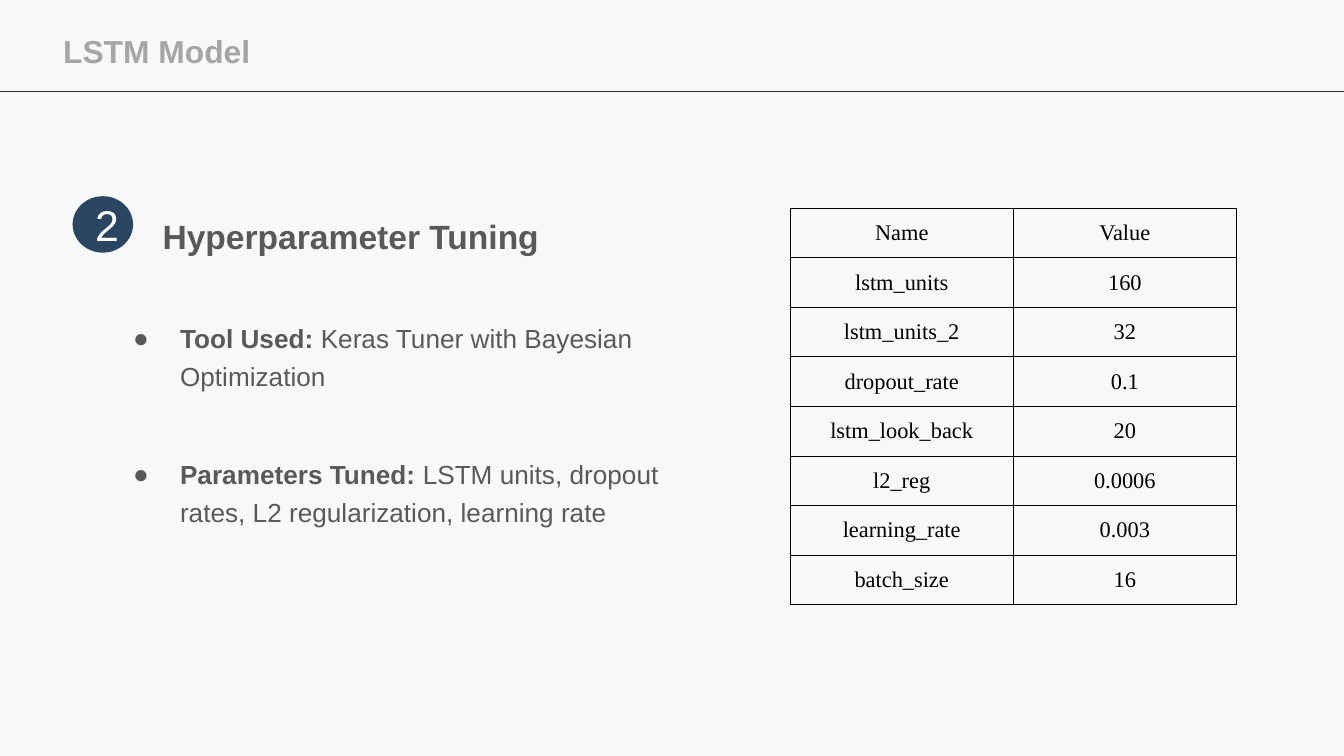
from dataclasses import dataclass

from lxml.etree import SubElement
from pptx import Presentation
from pptx.dml.color import RGBColor
from pptx.enum.shapes import MSO_CONNECTOR, MSO_SHAPE
from pptx.enum.text import MSO_ANCHOR, PP_ALIGN
from pptx.oxml import parse_xml
from pptx.oxml.ns import nsdecls, qn
from pptx.util import Inches, Pt

COLORS = {
    "background": "F6F8F9",
    "rule": "2E2E2E",
    "title": "A5A5A5",
    "body": "595959",
    "badge": "2B4663",
    "white": "FFFFFF",
    "black": "000000",
}


@dataclass
class Span:
    text: str
    size: float
    color: str
    bold: bool = False
    font: str = "Arial"


@dataclass
class TextBox:
    left: float
    top: float
    width: float
    height: float
    spans: list[Span]
    anchor: MSO_ANCHOR = MSO_ANCHOR.TOP
    line_spacing: float = 1.0
    bullet: bool = False
    inset_x: float = 0
    inset_y: float = 0


def color(name: str) -> RGBColor:
    return RGBColor.from_string(COLORS[name])


def add_span(para, span: Span) -> None:
    run = para.add_run()
    run.text = span.text
    run.font.name = span.font
    run.font.size = Pt(span.size)
    run.font.bold = span.bold
    run.font.color.rgb = color(span.color)


def add_bullet(para) -> None:
    properties = para._p.get_or_add_pPr()
    properties.set("marL", str(Inches(0.5)))
    properties.set("indent", str(Inches(-0.35)))
    bullet_color = SubElement(properties, qn("a:buClr"))
    SubElement(bullet_color, qn("a:srgbClr"), val=COLORS["body"])
    SubElement(properties, qn("a:buFont"), typeface="Arial")
    SubElement(properties, qn("a:buChar"), char="●")


def add_text(page, item: TextBox) -> None:
    box = page.shapes.add_textbox(
        Inches(item.left), Inches(item.top), Inches(item.width), Inches(item.height)
    )
    frame = box.text_frame
    frame.word_wrap = True
    frame.vertical_anchor = item.anchor
    frame.margin_left = frame.margin_right = Inches(item.inset_x)
    frame.margin_top = frame.margin_bottom = Inches(item.inset_y)
    para = frame.paragraphs[0]
    if item.bullet:
        add_bullet(para)
    para.line_spacing = item.line_spacing
    for span in item.spans:
        add_span(para, span)


def add_rule(page, top: float) -> None:
    rule = page.shapes.add_connector(
        MSO_CONNECTOR.STRAIGHT, Inches(10), Inches(top), Inches(0), Inches(top)
    )
    rule.line.color.rgb = color("rule")
    rule.line.width = Pt(0.75)
    SubElement(rule._element.spPr, qn("a:effectLst"))


def add_badge(page) -> None:
    badge = page.shapes.add_shape(
        MSO_SHAPE.OVAL, Inches(0.54), Inches(1.46), Inches(0.45), Inches(0.42)
    )
    badge.shadow.inherit = False
    badge.fill.solid()
    badge.fill.fore_color.rgb = color("badge")
    badge.line.fill.background()


def style_cell(cell, text: str) -> None:
    cell.fill.background()
    cell.margin_left = cell.margin_right = Inches(0.07)
    cell.margin_top = cell.margin_bottom = 0
    para = cell.text_frame.paragraphs[0]
    para.alignment = PP_ALIGN.CENTER
    para.line_spacing = 1.5
    add_span(para, Span(text, 12, "black", font="Times New Roman"))
    # Borders come before the fill in the cell properties
    for index, side in enumerate(("lnL", "lnR", "lnT", "lnB")):
        border = parse_xml(
            f'<a:{side} {nsdecls("a")} w="{Pt(0.5)}"><a:solidFill>'
            f'<a:srgbClr val="{COLORS["black"]}"/></a:solidFill></a:{side}>'
        )
        cell._tc.get_or_add_tcPr().insert(index, border)


def add_parameter_table(page, rows: list[tuple[str, str]]) -> None:
    table = page.shapes.add_table(
        len(rows), 2, Inches(5.88), Inches(1.55), Inches(3.32), Inches(2.95)
    ).table
    table.first_row = table.horz_banding = False
    for row, values in enumerate(rows):
        for column, text in enumerate(values):
            style_cell(table.cell(row, column), text)


PARAMETERS = [
    ("Name", "Value"),
    ("lstm_units", "160"),
    ("lstm_units_2", "32"),
    ("dropout_rate", "0.1"),
    ("lstm_look_back", "20"),
    ("l2_reg", "0.0006"),
    ("learning_rate", "0.003"),
    ("batch_size", "16"),
]

# Top, height, bold lead and plain text of each point
POINTS = [
    (2.12, 1.03, "Tool Used: ", "Keras Tuner with Bayesian Optimization"),
    (3.15, 0.99, "Parameters Tuned:",
     " LSTM units, dropout rates, L2 regularization, learning rate"),
]


def main() -> None:
    deck = Presentation()
    # Widescreen page, 16:9
    deck.slide_width, deck.slide_height = Inches(10), Inches(10 * 9 / 16)
    page = deck.slides.add_slide(deck.slide_layouts[6])
    page.background.fill.solid()
    page.background.fill.fore_color.rgb = color("background")

    # Header
    add_rule(page, 0.68)
    add_text(page, TextBox(0.47, 0.23, 3.54, 0.29,
                           [Span("LSTM Model", 17, "title", True)], MSO_ANCHOR.MIDDLE))

    # Numbered section heading
    add_text(page, TextBox(1.21, 1.55, 2.94, 0.35,
                           [Span("Hyperparameter Tuning", 18, "body", True)],
                           line_spacing=1.2))
    add_badge(page)
    add_text(page, TextBox(0.61, 1.43, 0.3, 0.49, [Span("2", 23, "white")],
                           inset_x=0.1, inset_y=0.05))

    # Bulleted points
    for top, height, lead, detail in POINTS:
        spans = [Span(lead, 14, "body", True), Span(detail, 14, "body")]
        add_text(page, TextBox(0.84, top, 4.16, height, spans,
                               MSO_ANCHOR.MIDDLE, 1.2, bullet=True))

    # Tuned values
    add_parameter_table(page, PARAMETERS)
    deck.save("out.pptx")


if __name__ == "__main__":
    main()
